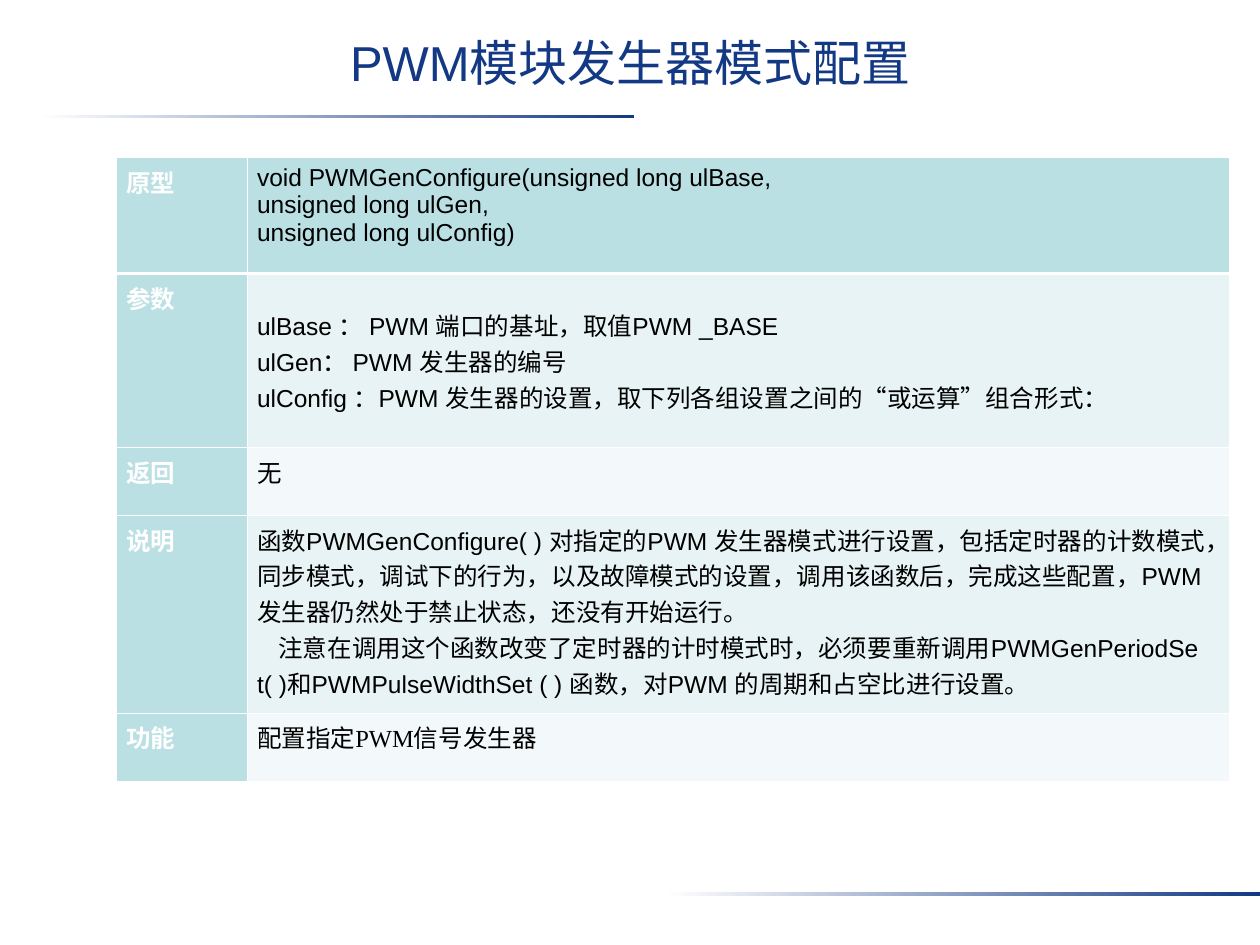
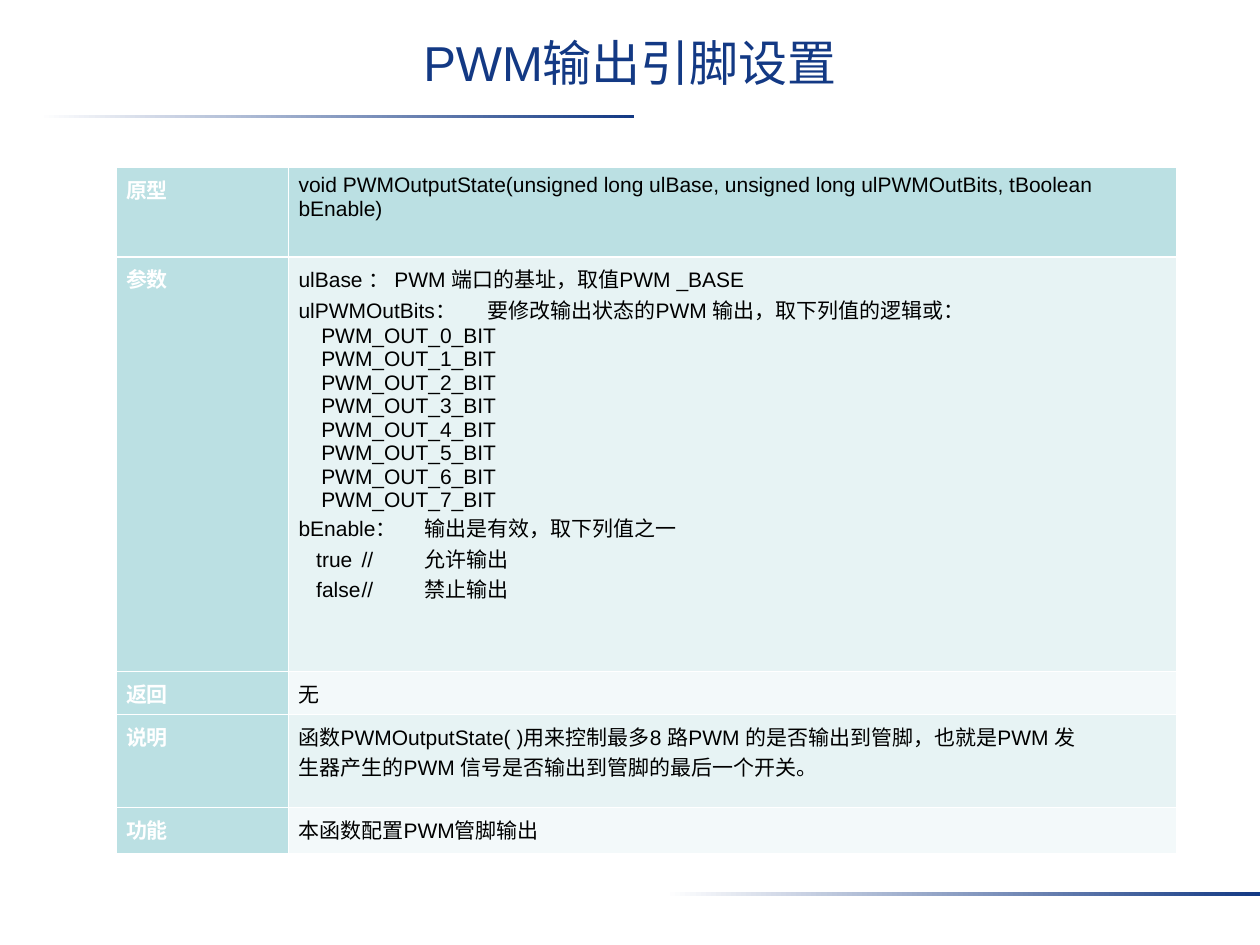
from lxml.etree import SubElement
from pptx import Presentation
from pptx.dml.color import RGBColor
from pptx.enum.shapes import MSO_SHAPE as Shape
from pptx.enum.text import MSO_ANCHOR as Anchor, PP_ALIGN as Align
from pptx.oxml.ns import qn
from pptx.util import Inches, Pt

NAVY, WHITE, BLACK = "133984", "FFFFFF", "000000"
TEAL, PALE, PALER = "BBE0E3", "E7F3F4", "F3F9FA"
SANS, SERIF = "Arial", "Times New Roman"
LABELS = ["原型", "参数", "返回", "说明", "功能"]
VALUE_FILLS = [TEAL, PALE, PALER, PALE, PALER]
BANDS = [(0.31, 0.91), (5.28, 7.08)]
BASE_LINE = "ulBase ： PWM 端口的基址，取值PWM _BASE"


def line(text, indent=0, tabs=()):
    return text, indent, tabs


PAGES = [
    {
        "title": "PWM模块发生器模式配置",
        "top": 1.25, "size": 14,
        "columns": [1.04, 7.8],
        "rows": [0.92, 1.38, 0.54, 1.57, 0.54],
        "param_margin": 0.27,
        "serif_rows": [2, 4],
        "values": [
            [line("void PWMGenConfigure(unsigned long ulBase,"),
             line("unsigned long ulGen,"),
             line("unsigned long ulConfig)")],
            [line(BASE_LINE),
             line("ulGen： PWM 发生器的编号"),
             line("ulConfig ：PWM 发生器的设置，取下列各组设置之间的“或运算”组合形式：")],
            [line("无")],
            [line("函数PWMGenConfigure( ) 对指定的PWM 发生器模式进行设置，包括定时器的计数模式，"
                  "同步模式，调试下的行为，以及故障模式的设置，调用该函数后，完成这些配置，"
                  "PWM发生器仍然处于禁止状态，还没有开始运行。"),
             line("注意在调用这个函数改变了定时器的计时模式时，必须要重新调用PWMGenPeriodSe t( )和"
                  "PWMPulseWidthSet ( ) 函数，对PWM 的周期和占空比进行设置。", 0.17)],
            [line("配置指定PWM信号发生器")],
        ],
    },
    {
        "title": "PWM输出引脚设置",
        "top": 1.33, "size": 12,
        "columns": [1.37, 7.05],
        "rows": [0.71, 3.29, 0.34, 0.74, 0.36],
        "param_margin": 0.05,
        "serif_rows": [2],
        "values": [
            [line("void PWMOutputState(unsigned long ulBase, "
                  "unsigned long ulPWMOutBits, tBoolean bEnable)")],
            [line(BASE_LINE),
             line("ulPWMOutBits：\t要修改输出状态的PWM 输出，取下列值的逻辑或：", 0, [1.36]),
             *[line(f"PWM_OUT_{bit}_BIT", 0.18) for bit in range(8)],
             line("bEnable：\t输出是有效，取下列值之一", 0, [0.92]),
             line("true\t//\t允许输出", 0.14, [0.71, 1.06]),
             line("false\t//\t禁止输出", 0.14, [0.77, 1.13])],
            [line("无")],
            [line("函数PWMOutputState( )用来控制最多8 路PWM 的是否输出到管脚，也就是PWM 发"),
             line("生器产生的PWM 信号是否输出到管脚的最后一个开关。")],
            [line("本函数配置PWM管脚输出")],
        ],
    },
]


def color(value):
    return RGBColor.from_string(value)


def add_span(para, text, size, font, hue, bold=False):
    span = para.add_run()
    span.text = text
    span.font.size = Pt(size)
    span.font.name = font
    span.font.bold = bold
    span.font.color.rgb = color(hue)


def set_indent(para, indent, tabs):
    props = para._p.get_or_add_pPr()
    props.set("marL", "0")
    props.set("indent", str(Inches(indent)))
    if tabs:
        stops = SubElement(props, qn("a:tabLst"))
        for stop in tabs:
            SubElement(stops, qn("a:tab"), pos=str(Inches(stop)), algn="l")


def set_borders(cell, row):
    props = cell._tc.get_or_add_tcPr()
    thick_side = {0: "lnB", 1: "lnT"}.get(row)
    for side in ("lnL", "lnR", "lnT", "lnB"):
        width = Pt(1.47 if side == thick_side else 0.45)
        border = SubElement(props, qn(f"a:{side}"), w=str(width))
        fill = SubElement(border, qn("a:solidFill"))
        SubElement(fill, qn("a:srgbClr"), val=WHITE)


def format_cell(cell, row, fill, top_margin=0.05):
    set_borders(cell, row)
    cell.fill.solid()
    cell.fill.fore_color.rgb = color(fill)
    cell.margin_left = cell.margin_right = Inches(0.08)
    cell.margin_top, cell.margin_bottom = Inches(top_margin), Inches(0.05)


def add_bands(layout, page):
    for left, top in BANDS:
        band = page.shapes.add_shape(Shape.RECTANGLE, Inches(left), Inches(top),
                                     Inches(4.72), Inches(0.03))
        band.shadow.inherit = False
        band.line.fill.background()
        band.fill.gradient()
        band.fill.gradient_angle = 0
        for stop, hue, position in zip(band.fill.gradient_stops, (WHITE, NAVY), (0, 1)):
            stop.color.rgb = color(hue)
            stop.position = position
        layout.shapes.element.append(band.element)


def add_title(page, text):
    title = page.shapes.title
    title.left, title.top = Inches(0), Inches(0.2)
    title.width, title.height = Inches(10), Inches(0.75)
    frame = title.text_frame
    frame.word_wrap = True
    frame.vertical_anchor = Anchor.TOP
    frame.margin_top, frame.margin_bottom = Inches(0.06), Inches(0.05)
    para = frame.paragraphs[0]
    para.alignment = Align.CENTER
    add_span(para, text, 28, SANS, NAVY)


def add_function_table(page, content):
    columns, rows, size = content["columns"], content["rows"], content["size"]
    table = page.shapes.add_table(
        len(rows), len(columns), Inches(0.92), Inches(content["top"]),
        Inches(sum(columns)), Inches(sum(rows))).table
    for column, width in zip(table.columns, columns):
        column.width = Inches(width)
    for row, height in enumerate(rows):
        table.rows[row].height = Inches(height)
        label, value = table.cell(row, 0), table.cell(row, 1)
        format_cell(label, row, TEAL)
        format_cell(value, row, VALUE_FILLS[row],
                    content["param_margin"] if row == 1 else 0.05)
        para = label.text_frame.paragraphs[0]
        para.alignment = Align.JUSTIFY
        add_span(para, LABELS[row], size, SANS, WHITE, True)
        font = SERIF if row in content["serif_rows"] else SANS
        frame = value.text_frame
        for index, (text, indent, tabs) in enumerate(content["values"][row]):
            para = frame.add_paragraph() if index else frame.paragraphs[0]
            set_indent(para, indent, tabs)
            add_span(para, text, size, font, BLACK)


def main():
    deck = Presentation()
    deck.slide_width, deck.slide_height = Inches(10), Inches(7.5)
    layout = deck.slide_layouts[5]
    for number, content in enumerate(PAGES):
        page = deck.slides.add_slide(layout)
        if number == 0:
            add_bands(layout, page)
        add_title(page, content["title"])
        add_function_table(page, content)
    deck.save("out.pptx")


if __name__ == "__main__":
    main()
